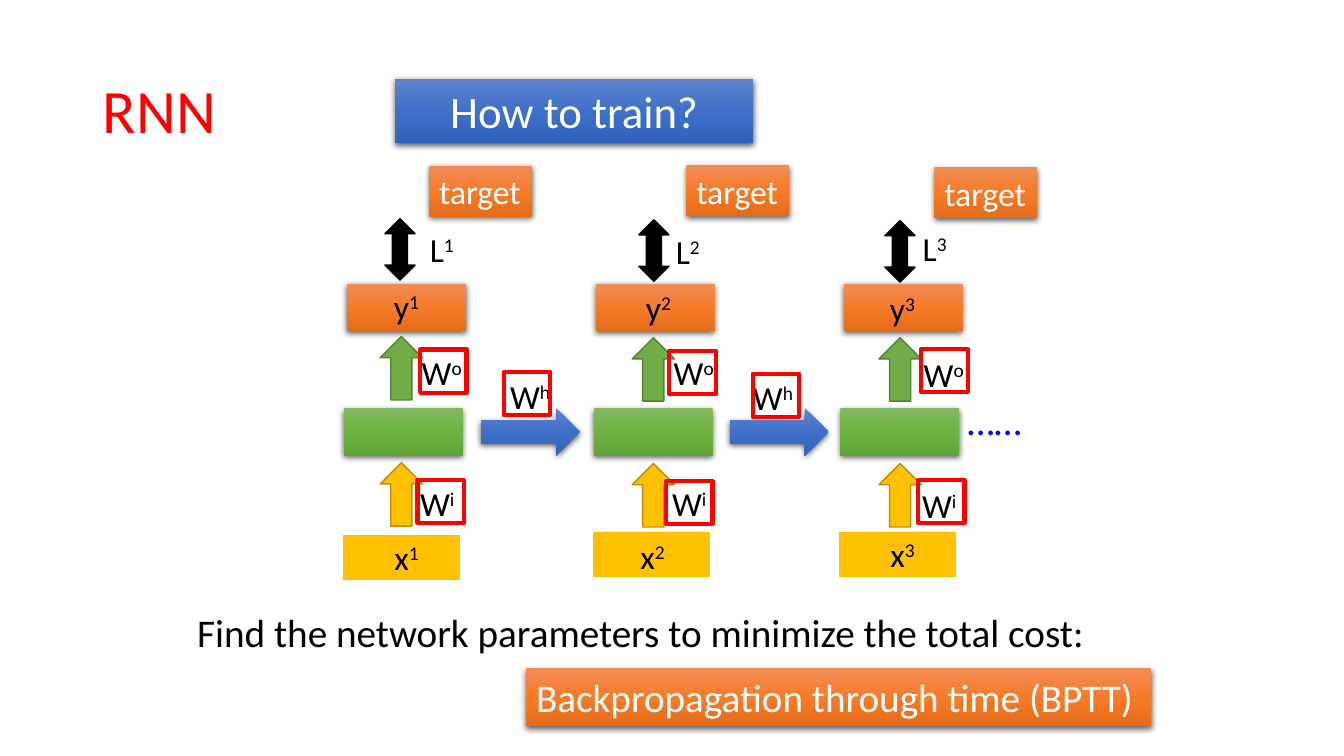
import copy
import lxml.etree
import pptx
import pptx.dml.color
import pptx.enum.shapes
import pptx.enum.text
import pptx.oxml.ns
import pptx.util

Cm = pptx.util.Cm
Pt = pptx.util.Pt
hex_color = pptx.dml.color.RGBColor.from_string
qn = pptx.oxml.ns.qn
SHAPE = pptx.enum.shapes.MSO_SHAPE
ALIGN = pptx.enum.text.PP_ALIGN

ORANGE = ["F18C57", "F67B28", "E56C19"]
GREEN = ["81B861", "6FB242", "62A336"]
BLUE = ["6183CB", "3E70CA", "3062BB"]

deck = pptx.Presentation()
deck.slide_width, deck.slide_height = Cm(33.87), Cm(19.05)
slide = deck.slides.add_slide(deck.slide_layouts[5])


def block(kind, place, size, fill=None, edge=None, edge_width=1):
    """Add a shape; a list of colours gives a gradient with a soft shadow."""
    shape = slide.shapes.add_shape(kind, *map(Cm, place + size))
    shape.shadow.inherit = False
    if edge:
        shape.line.color.rgb = hex_color(edge)
        shape.line.width = Pt(edge_width)
    else:
        shape.line.fill.background()
    if fill is None:
        shape.fill.background()
    elif isinstance(fill, str):
        shape.fill.solid()
        shape.fill.fore_color.rgb = hex_color(fill)
    else:
        shape.fill.gradient()
        shape.fill.gradient_angle = 270
        properties = shape._element.spPr
        stops = properties.find(".//" + qn("a:gsLst"))
        stops.insert(1, copy.deepcopy(stops[0]))
        for stop, tint, position in zip(shape.fill.gradient_stops, fill, (0, 0.5, 1)):
            stop.color.rgb = hex_color(tint)
            stop.position = position
        shadow = lxml.etree.SubElement(
            properties.find(qn("a:effectLst")), qn("a:outerShdw"),
            blurRad=str(Pt(4.5)), dist=str(Pt(1.5)), dir="5400000",
            algn="ctr", rotWithShape="0")
        black = lxml.etree.SubElement(shadow, qn("a:srgbClr"), val="000000")
        lxml.etree.SubElement(black, qn("a:alpha"), val="63000")
    return shape


def write(shape, words, points, tint="000000", align=ALIGN.CENTER, wrap=True, raised=""):
    """Fill a box with one line, with an optional superscript run."""
    frame = shape.text_frame
    frame.word_wrap = wrap
    frame.auto_size = pptx.enum.text.MSO_AUTO_SIZE.SHAPE_TO_FIT_TEXT
    line = frame.paragraphs[0]
    line.alignment = align
    for text in filter(None, (words, raised)):
        run = line.add_run()
        run.text = text
        run.font.name = "Calibri"
        run.font.size = Pt(points)
        run.font.color.rgb = hex_color(tint)
        if text == raised:
            run._r.get_or_add_rPr().set("baseline", "30000")


# Title and question
title = slide.shapes.title
title.left, title.top, title.width, title.height = Cm(2.34), Cm(1.02), Cm(29.21), Cm(3.68)
title.text_frame.vertical_anchor = pptx.enum.text.MSO_ANCHOR.MIDDLE
heading = title.text_frame.paragraphs[0]
heading.alignment = ALIGN.LEFT
heading.line_spacing = 0.9
topic = heading.add_run()
topic.text = "RNN"
topic.font.name = "Calibri"
topic.font.size = Pt(44)
topic.font.color.rgb = hex_color("FF0000")

question = block(SHAPE.RECTANGLE, (9.96, 1.98), (9.02, 1.63), BLUE)
write(question, "How to train?", 32, "FFFFFF")

# Unrolled network: each part has one place per time step
layer_size, up_size = (3, 1.19), (1.07, 1.6)
network = [
    (SHAPE.RECTANGLE, layer_size, "FFC000", "FFFFFF", 1.5,
     [(8.61, 13.46), (14.91, 13.39), (21.13, 13.39)]),
    (SHAPE.RECTANGLE, layer_size, GREEN, None, 0,
     [(8.66, 10.29), (14.96, 10.29), (21.18, 10.29)]),
    (SHAPE.RECTANGLE, layer_size, ORANGE, None, 0,
     [(8.74, 7.16), (15.01, 7.16), (21.26, 7.16)]),
    (SHAPE.UP_ARROW, up_size, "FFC000", "BD8E00", 1,
     [(9.58, 11.66), (15.93, 11.68), (22.15, 11.68)]),
    (SHAPE.UP_ARROW, up_size, "70AD47", "538035", 1,
     [(9.58, 8.48), (15.93, 8.51), (22.15, 8.51)]),
    (SHAPE.RIGHT_ARROW, (2.49, 1.19), BLUE, None, 0,
     [(12.12, 10.29), (18.39, 10.29)]),
    (SHAPE.UP_DOWN_ARROW, (0.76, 1.55), "000000", "000000", 1,
     [(9.7, 5.51), (16.1, 5.54), (22.3, 5.56)]),
]
for kind, size, fill, edge, edge_width, places in network:
    for place in places:
        block(kind, place, size, fill, edge, edge_width)

# Symbols with their superscripts
symbols = [
    ("L", "123", 2.51, [(9.88, 5.64), (16.08, 5.69), (22.3, 5.61)]),
    ("x", "123", 2.51, [(8.99, 13.41), (15.19, 13.39), (21.49, 13.34)]),
    ("y", "123", 2.51, [(8.99, 7.09), (15.34, 7.11), (21.49, 7.14)]),
    ("W", "iii", 1.78, [(10.13, 12.04), (16.48, 12.04), (22.78, 12.09)]),
    ("W", "ooo", 1.75, [(10.26, 8.74), (16.61, 8.74), (22.91, 8.79)]),
    ("W", "hh", 1.78, [(12.47, 9.35), (18.59, 9.37)]),
]
for letter, superscripts, width, places in symbols:
    for superscript, (left, top) in zip(superscripts, places):
        symbol = slide.shapes.add_textbox(Cm(left), Cm(top), Cm(width), Cm(1.27))
        write(symbol, letter, 24, raised=superscript)

further_steps = slide.shapes.add_textbox(Cm(23.83), Cm(9.86), Cm(2.46), Cm(1.45))
write(further_steps, "……", 28, "0000FF")

# Targets
for place in [(10.82, 4.19), (17.3, 4.17), (23.55, 4.22)]:
    target = block(SHAPE.RECTANGLE, place, (2.59, 1.27), ORANGE)
    write(target, "target", 24, "FFFFFF", ALIGN.LEFT, wrap=False)

# Red frames around the weights to learn
for place in [(10.52, 12.09), (16.79, 12.12), (23.14, 12.09),
              (10.59, 8.81), (16.87, 8.84), (23.22, 8.79),
              (12.7, 9.37), (18.97, 9.42)]:
    block(SHAPE.RECTANGLE, place, (1.17, 1.09), edge="FF0000", edge_width=3)

# Training goal and method
goal = slide.shapes.add_textbox(Cm(4.72), Cm(15.21), Cm(23.55), Cm(1.45))
write(goal, "Find the network parameters to minimize the total cost:", 28, align=ALIGN.LEFT)
method = block(SHAPE.RECTANGLE, (13.26, 16.84), (15.75, 1.45), ORANGE)
write(method, "Backpropagation through time (BPTT)", 28, "FFFFFF", ALIGN.LEFT, wrap=False)

deck.save("out.pptx")
